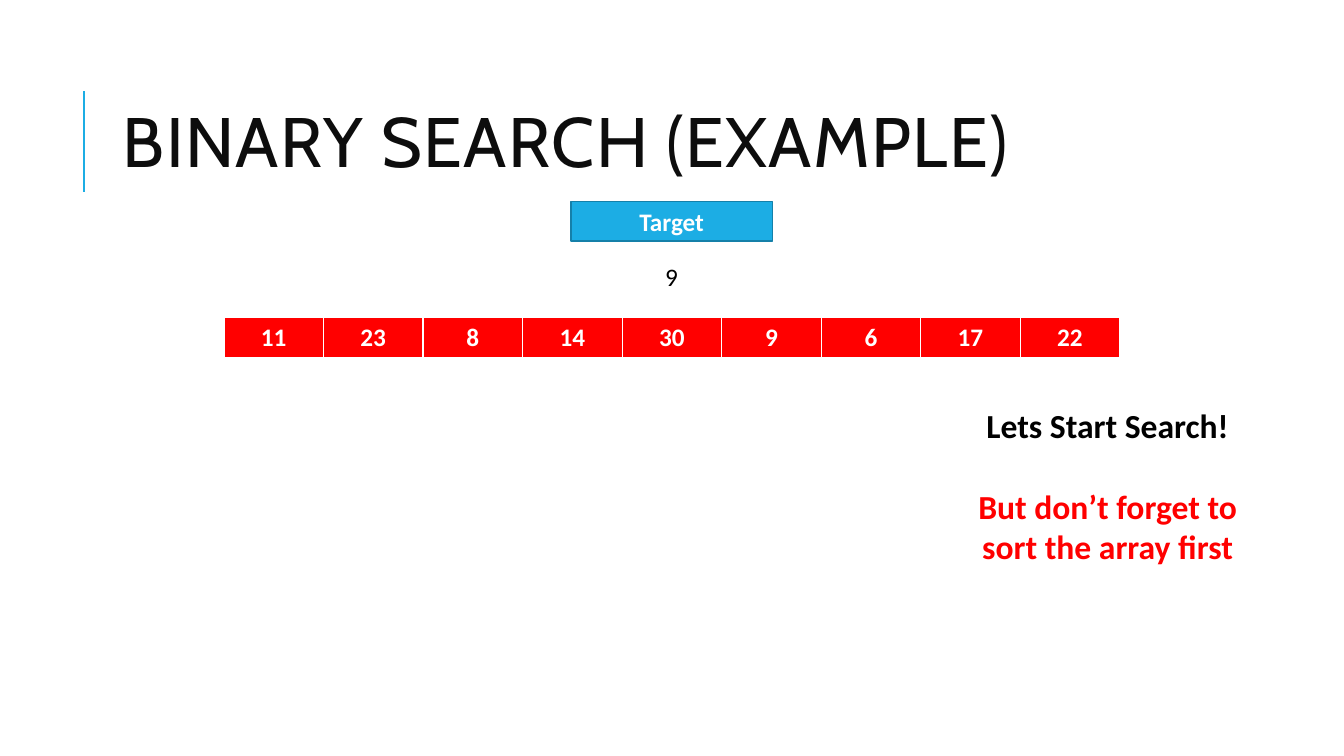
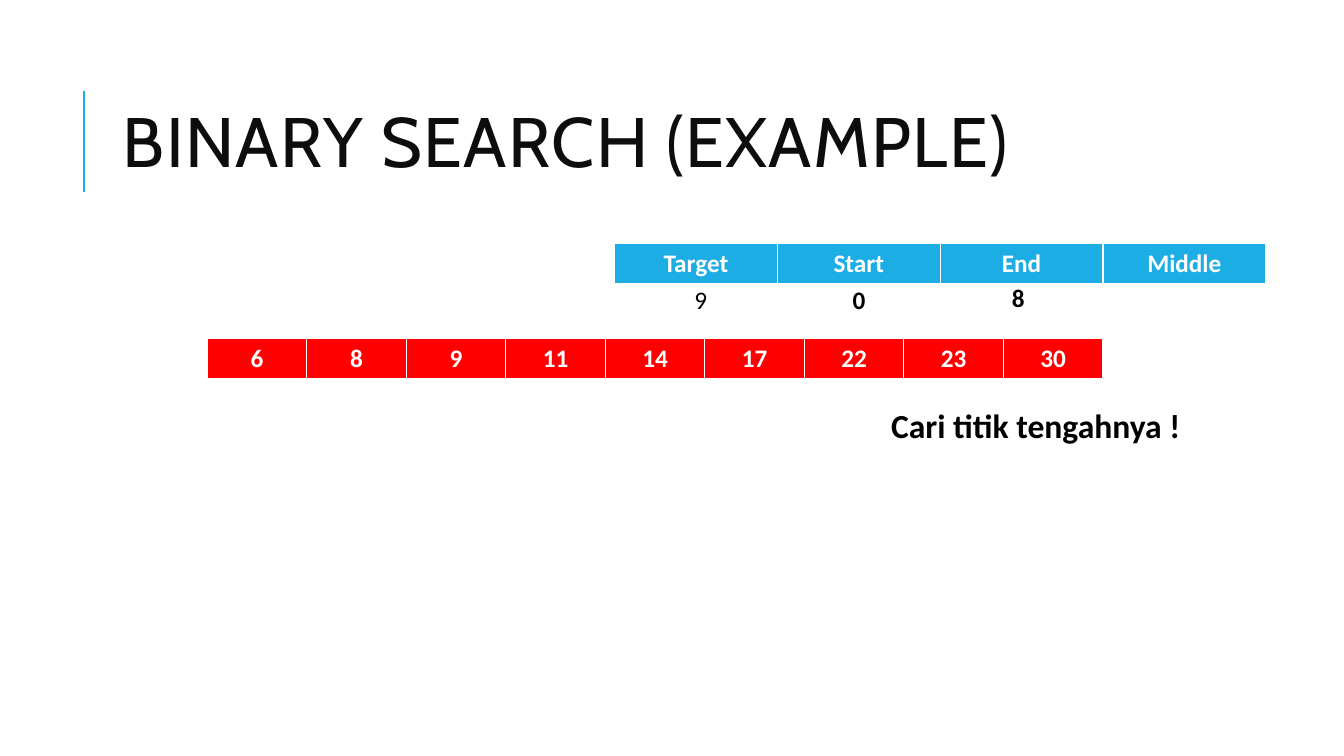
"""Build two slides that walk through a binary search example."""
from lxml import etree
from pptx import Presentation
from pptx.dml.color import RGBColor
from pptx.enum.shapes import MSO_CONNECTOR, MSO_SHAPE
from pptx.enum.text import MSO_ANCHOR, MSO_AUTO_SIZE, PP_ALIGN
from pptx.oxml.ns import qn
from pptx.util import Pt

LEFT, CENTER = PP_ALIGN.LEFT, PP_ALIGN.CENTER
MIDDLE = MSO_ANCHOR.MIDDLE
FIXED, GROW = MSO_AUTO_SIZE.NONE, MSO_AUTO_SIZE.SHAPE_TO_FIT_TEXT
STRAIGHT, RECTANGLE = MSO_CONNECTOR.STRAIGHT, MSO_SHAPE.RECTANGLE
TITLE_ONLY = 5

COLORS = {
    "accent": "1CADE4",
    "outline": "1580A9",
    "alert": "FF0000",
    "title": "0D0D0D",
    "text": "000000",
    "paper": "FFFFFF",
}
FORMATS = {
    "title": {"name": "Cabin", "size": Pt(50), "bold": False},
    "value": {"name": "Calibri", "size": Pt(18), "bold": False},
    "strong": {"name": "Calibri", "size": Pt(18), "bold": True},
    "message": {"name": "Calibri", "size": Pt(24), "bold": True},
}
BORDERS = {"a:lnL": 1, "a:lnR": 1, "a:lnT": 1, "a:lnB": 3}
HEADING = "BINARY SEARCH (EXAMPLE)"
ROW_HEIGHT = 29.2
ARRAY_COLUMN = 71.1
STATE_COLUMN = 116.3
MESSAGE_TOP = 285.8


def rgb(color):
    """Return the named colour."""
    return RGBColor.from_string(COLORS[color])


class Deck:
    """Hold the presentation, its style and the current slide."""

    def __init__(self):
        """Start an empty widescreen presentation."""
        self.prs = Presentation()
        self.prs.slide_width, self.prs.slide_height = Pt(960), Pt(540)
        self.slide = None

    def styled_run(self, paragraph, text, style, color, align=CENTER):
        """Put one formatted run into a paragraph."""
        paragraph.alignment = align
        run = paragraph.add_run()
        run.text = text
        for attribute, setting in FORMATS[style].items():
            setattr(run.font, attribute, setting)
        run.font.color.rgb = rgb(color)
        return run

    def add_slide(self, heading):
        """Add a slide with its title and the rule beside it."""
        self.slide = self.prs.slides.add_slide(self.prs.slide_layouts[TITLE_ONLY])
        rule = self.slide.shapes.add_connector(STRAIGHT, Pt(60), Pt(136.8), Pt(60), Pt(64.8))
        rule.line.color.rgb = rgb("accent")
        rule.line.width = Pt(1.5)
        etree.SubElement(rule.element.spPr, qn("a:effectLst"))

        title = self.slide.shapes.title
        title.left, title.top, title.width, title.height = Pt(80.6), Pt(46), Pt(765.4), Pt(118)
        frame = title.text_frame
        frame.vertical_anchor, frame.auto_size = MIDDLE, FIXED
        paragraph = frame.paragraphs[0]
        paragraph.line_spacing = 0.8
        run = self.styled_run(paragraph, heading, "title", "title", LEFT)
        run.font._element.set("spc", "100")

    def label(self, text, left, top, width, height):
        """Add a filled rectangle with a caption."""
        box = self.slide.shapes.add_shape(RECTANGLE, Pt(left), Pt(top), Pt(width), Pt(height))
        box.shadow.inherit = False
        box.fill.solid()
        box.fill.fore_color.rgb = rgb("accent")
        box.line.color.rgb = rgb("outline")
        box.line.width = Pt(1.25)
        box.text_frame.vertical_anchor = MIDDLE
        self.styled_run(box.text_frame.paragraphs[0], text, "strong", "paper")

    def value(self, text, left, top, style="strong"):
        """Add a single number that does not wrap."""
        box = self.slide.shapes.add_textbox(Pt(left), Pt(top), Pt(23.8), Pt(ROW_HEIGHT))
        box.text_frame.word_wrap = False
        box.text_frame.auto_size = GROW
        self.styled_run(box.text_frame.paragraphs[0], text, style, "text", LEFT)

    def message(self, lines, left, width, height):
        """Add centred remarks, given as pairs of text and colour."""
        box = self.slide.shapes.add_textbox(Pt(left), Pt(MESSAGE_TOP), Pt(width), Pt(height))
        frame = box.text_frame
        frame.word_wrap, frame.auto_size = True, GROW
        for index, (text, color) in enumerate(lines):
            paragraph = frame.add_paragraph() if index else frame.paragraphs[0]
            paragraph.space_before = Pt(29 if index else 0)
            self.styled_run(paragraph, text, "message", color)

    def row(self, entries, left, top, column_width, color):
        """Add a one-row table with equal columns."""
        table = self.slide.shapes.add_table(
            1, len(entries), Pt(left), Pt(top), Pt(column_width * len(entries)), Pt(ROW_HEIGHT)
        ).table
        table.first_row = table.horz_banding = False
        for column, cell, entry in zip(table.columns, table.iter_cells(), entries):
            column.width = Pt(column_width)
            self.styled_run(cell.text_frame.paragraphs[0], str(entry), "strong", "paper")
            properties = cell._tc.get_or_add_tcPr()
            for edge, width in BORDERS.items():
                border = etree.SubElement(properties, qn(edge), w=str(Pt(width)))
                fill = etree.SubElement(border, qn("a:solidFill"))
                etree.SubElement(fill, qn("a:srgbClr"), val=COLORS["paper"])
            cell.fill.solid()
            cell.fill.fore_color.rgb = rgb(color)


def main():
    """Build both slides and save the file."""
    deck = Deck()
    numbers = [11, 23, 8, 14, 30, 9, 6, 17, 22]

    deck.add_slide(HEADING)
    deck.label("Target", 407.8, 144, 144, 28)
    deck.value("9", 468, 182.9, "value")
    deck.row(numbers, 160, 226.8, ARRAY_COLUMN, "alert")
    remarks = [
        ("Lets Start Search!", "text"),
        ("But don’t forget to sort the array first", "alert"),
    ]
    deck.message(remarks, 689, 204.5, 123.8)

    deck.add_slide(HEADING)
    deck.value("9", 488.9, 199.4, "value")
    deck.row(sorted(numbers), 148, 241.9, ARRAY_COLUMN, "alert")
    deck.row(["Target", "Start", "End", "Middle"], 439, 174.2, STATE_COLUMN, "accent")
    deck.value("0", 602, 199.4)
    deck.value("8", 715.7, 198)
    deck.message([("Cari titik tengahnya !", "text")], 585.4, 308.9, 36)

    deck.prs.save("out.pptx")


if __name__ == "__main__":
    main()
